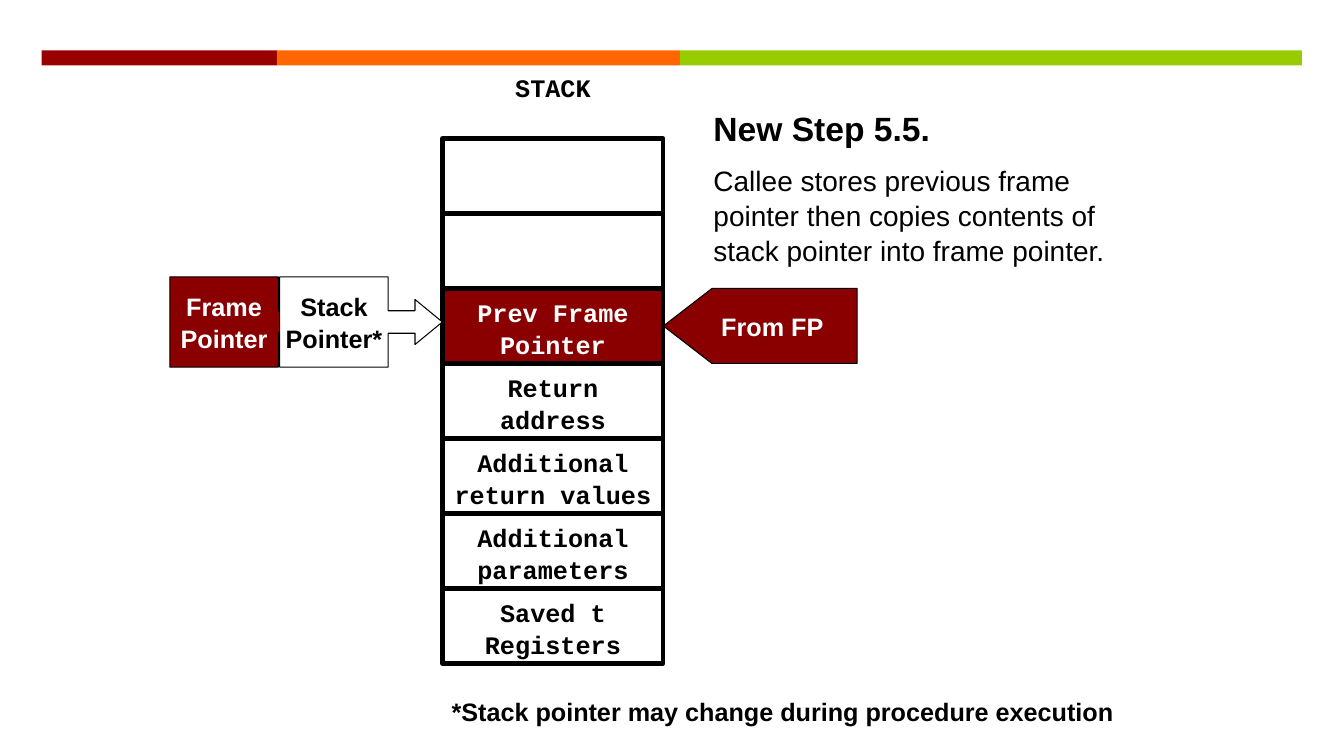
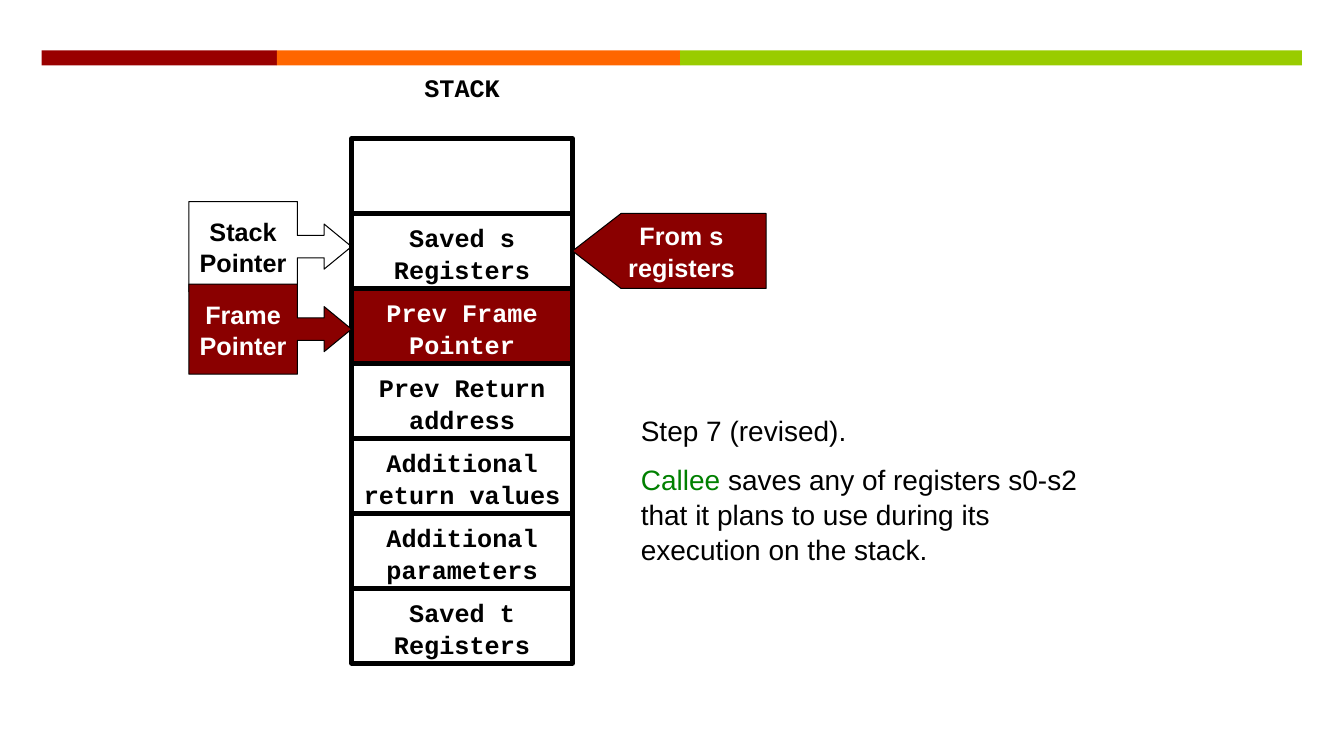
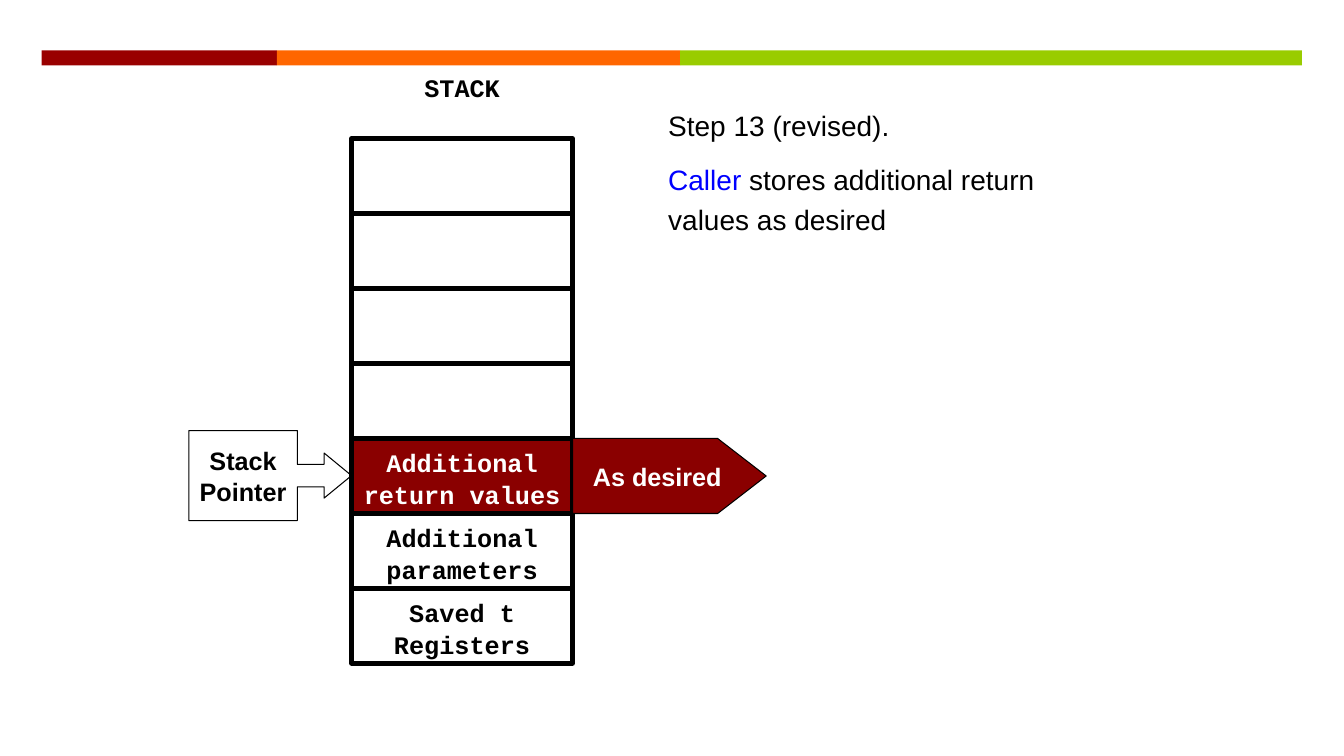
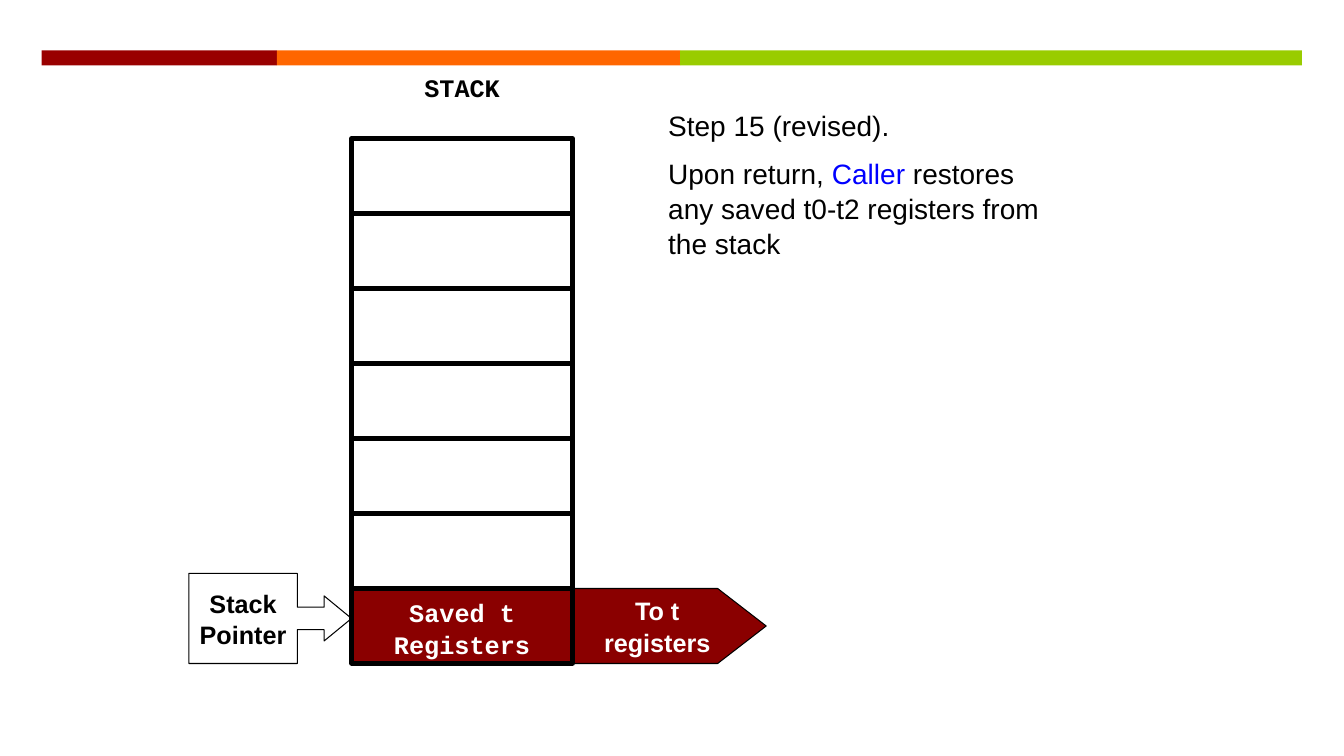
from dataclasses import dataclass

from pptx import Presentation
from pptx.dml.color import RGBColor
from pptx.enum.shapes import MSO_SHAPE
from pptx.enum.text import MSO_ANCHOR, PP_ALIGN
from pptx.util import Cm, Pt

RECTANGLE = MSO_SHAPE.RECTANGLE
CALLOUT = MSO_SHAPE.RIGHT_ARROW_CALLOUT
PENTAGON = MSO_SHAPE.PENTAGON
TOP, MIDDLE = MSO_ANCHOR.TOP, MSO_ANCHOR.MIDDLE
LEFT, CENTER = PP_ALIGN.LEFT, PP_ALIGN.CENTER


@dataclass(frozen=True)
class Theme:
    """Colours, fonts, type sizes and line widths of the deck."""
    black: str = "000000"
    white: str = "FFFFFF"
    accent: str = "8A0000"
    callee: str = "008000"
    caller: str = "0000FF"
    bands: tuple = (("990000", 5.93), ("FF6600", 10.16), ("99CC00", 15.67))
    sans: str = "Arial"
    mono: str = "Courier New"
    label: int = 18
    body: int = 20
    heading: int = 24
    cell_line: float = 3
    pointer_line: float = 0.75
    leading: float = 1.04


THEME = Theme()
CELL_WIDTH, CELL_HEIGHT, STACK_TOP = 5.57, 1.89, 3.49
POINTER_WIDTH, POINTER_HEIGHT = 4.1, 2.27
POINTER_BODY = 2.77
TAG_WIDTH = 4.88


def rgb(color):
    """Turn a hex string into a colour."""
    return RGBColor.from_string(color)


def set_font(font, size, color, bold=False, name=THEME.sans):
    """Apply typeface, size, colour and weight."""
    font.name, font.size, font.bold = name, Pt(size), bold
    font.color.rgb = rgb(color)


def add_outline(slide, kind, box, fill=None, line=None, width=0):
    """Add a preset shape without shadow in a box given in centimetres."""
    shape = slide.shapes.add_shape(kind, *map(Cm, box))
    shape.shadow.inherit = False
    if fill:
        shape.fill.solid()
        shape.fill.fore_color.rgb = rgb(fill)
    else:
        shape.fill.background()
    if line:
        shape.line.color.rgb = rgb(line)
        shape.line.width = Pt(width)
    else:
        shape.line.fill.background()
    return shape


def write_label(shape, text, color, name=THEME.sans, anchor=MIDDLE, wrap=False, align=CENTER):
    """Write bold label lines into a shape."""
    frame = shape.text_frame
    frame.word_wrap, frame.vertical_anchor = wrap, anchor
    if anchor == TOP:
        frame.margin_top = Cm(0.2)
    frame.text = text
    for paragraph in frame.paragraphs:
        paragraph.alignment = align
        paragraph.line_spacing = THEME.leading
        set_font(paragraph.font, THEME.label, color, True, name)


def add_bands(slide, layout):
    """Draw the coloured bands and hand them to the layout all slides share."""
    for placeholder in list(layout.placeholders):
        placeholder.element.getparent().remove(placeholder.element)
    left = 1.05
    for color, width in THEME.bands:
        band = add_outline(slide, RECTANGLE, (left, 1.27, width, 0.38), color)
        layout.element.cSld.spTree.append(band.element)
        left += width


def row_top(row):
    """Return the top edge of a stack row."""
    return STACK_TOP + row * CELL_HEIGHT


def add_stack(slide, left, cells, current):
    """Draw the stack with its heading and one highlighted cell."""
    heading = slide.shapes.add_textbox(*map(Cm, (left, row_top(-1), CELL_WIDTH, CELL_HEIGHT)))
    write_label(heading, "STACK", THEME.black, THEME.mono, TOP, True)
    for row, text in enumerate(cells):
        active = row == current
        cell = add_outline(slide, RECTANGLE, (left, row_top(row), CELL_WIDTH, CELL_HEIGHT),
                           THEME.accent if active else None, THEME.black, THEME.cell_line)
        if text:
            write_label(cell, text, THEME.white if active else THEME.black,
                        THEME.mono, TOP, True)


def add_pointer(slide, right, top, text, fill=None):
    """Draw a pointer callout whose arrow tip ends at the given right edge."""
    pointer = add_outline(slide, CALLOUT,
                          (right - POINTER_WIDTH, top, POINTER_WIDTH, POINTER_HEIGHT),
                          fill, THEME.black, THEME.pointer_line)
    for index, value in enumerate((0.25, 0.25, 0.304, 0.667)):
        pointer.adjustments[index] = value
    write_label(pointer, text, THEME.white if fill == THEME.accent else THEME.black)


def add_tag(slide, stack_left, row, text, incoming=False):
    """Draw the tag right of a row, pointing into the stack when incoming."""
    tag = add_outline(slide, PENTAGON,
                      (stack_left + CELL_WIDTH, row_top(row), TAG_WIDTH, CELL_HEIGHT),
                      THEME.accent, THEME.black, THEME.pointer_line)
    tag.adjustments[0] = 0.647
    if incoming:
        tag.element.spPr.xfrm.set("flipH", "1")
    write_label(tag, text, THEME.white)


def add_step(slide, box, heading, parts, strong=False, leading=THEME.leading):
    """Write a step heading and its description made of coloured parts."""
    frame = slide.shapes.add_textbox(*map(Cm, box)).text_frame
    frame.word_wrap = True
    frame.margin_top = Cm(0.18)
    title = frame.paragraphs[0]
    title.text = heading
    title.line_spacing = THEME.leading
    set_font(title.font, THEME.heading if strong else THEME.body, THEME.black, strong)
    description = frame.add_paragraph()
    description.space_before = Pt(THEME.body / 2)
    description.line_spacing = leading
    set_font(description.font, THEME.body, THEME.black)
    for text, color in parts:
        run = description.add_run()
        run.text = text
        set_font(run.font, THEME.body, color)


def add_footnote(slide, box, text):
    """Write the bold note below the stack."""
    note = slide.shapes.add_textbox(*map(Cm, box))
    write_label(note, text, THEME.black, anchor=TOP, align=LEFT)


def build_frame_pointer(slide):
    """Show the callee storing the previous frame pointer."""
    left = 11.15
    add_step(slide, (17.73, 2.51, 10.69, 4.27), "New Step 5.5.",
             [("Callee stores previous frame pointer then copies contents of stack "
               "pointer into frame pointer.", THEME.black)], strong=True)
    add_pointer(slide, left - POINTER_BODY, 6.98, "Frame\nPointer", THEME.accent)
    add_stack(slide, left, ["", "", "Prev Frame Pointer", "Return address",
                            "Additional return values", "Additional parameters",
                            "Saved t Registers"], 2)
    add_pointer(slide, left, 6.98, "Stack\nPointer*", THEME.white)
    add_tag(slide, left, 2, "From FP", incoming=True)
    add_footnote(slide, (11.13, 17.32, 17.37, 1.02),
                 "*Stack pointer may change during procedure execution")


def build_saved_registers(slide):
    """Show the callee saving s registers."""
    left = 8.86
    add_step(slide, (15.9, 10.21, 11.84, 4.06), "Step 7 (revised).",
             [("Callee", THEME.callee),
              (" saves any of registers s0-s2 that it plans to use during its "
               "execution on the stack.", THEME.black)])
    add_pointer(slide, left, 5.08, "Stack\nPointer")
    add_stack(slide, left, ["", "Saved s Registers", "Prev Frame Pointer",
                            "Prev Return address", "Additional return values",
                            "Additional parameters", "Saved t Registers"], 2)
    add_tag(slide, left, 1, "From s\nregisters", incoming=True)
    add_pointer(slide, left, 7.16, "Frame\nPointer", THEME.accent)


def build_return_values(slide):
    """Show the caller storing additional return values."""
    left = 8.86
    add_step(slide, (16.59, 2.51, 10.11, 3.51), "Step 13 (revised).",
             [("Caller", THEME.caller),
              (" stores additional return values as desired", THEME.black)], leading=1.2)
    add_pointer(slide, left, 10.85, "Stack\nPointer")
    add_stack(slide, left, [""] * 4 + ["Additional return values", "Additional parameters",
                                       "Saved t Registers"], 4)
    add_tag(slide, left, 4, "As desired")


def build_restored_registers(slide):
    """Show the caller restoring t registers."""
    left = 8.86
    add_step(slide, (16.59, 2.51, 10.11, 4.06), "Step 15 (revised).",
             [("Upon return, ", THEME.black), ("Caller", THEME.caller),
              (" restores any saved t0-t2 registers from the\u00a0stack", THEME.black)])
    add_pointer(slide, left, 14.45, "Stack\nPointer")
    add_tag(slide, left, 6, "To t\nregisters")
    add_stack(slide, left, [""] * 6 + ["Saved t Registers"], 6)


def main():
    """Build the deck and save it."""
    deck = Presentation()
    deck.slide_width, deck.slide_height = Cm(33.87), Cm(19.05)
    blank = deck.slide_layouts[6]
    builders = (build_frame_pointer, build_saved_registers,
                build_return_values, build_restored_registers)
    slides = [deck.slides.add_slide(blank) for _ in builders]
    add_bands(slides[0], blank)
    for build, slide in zip(builders, slides):
        build(slide)
    deck.save("out.pptx")


main()
